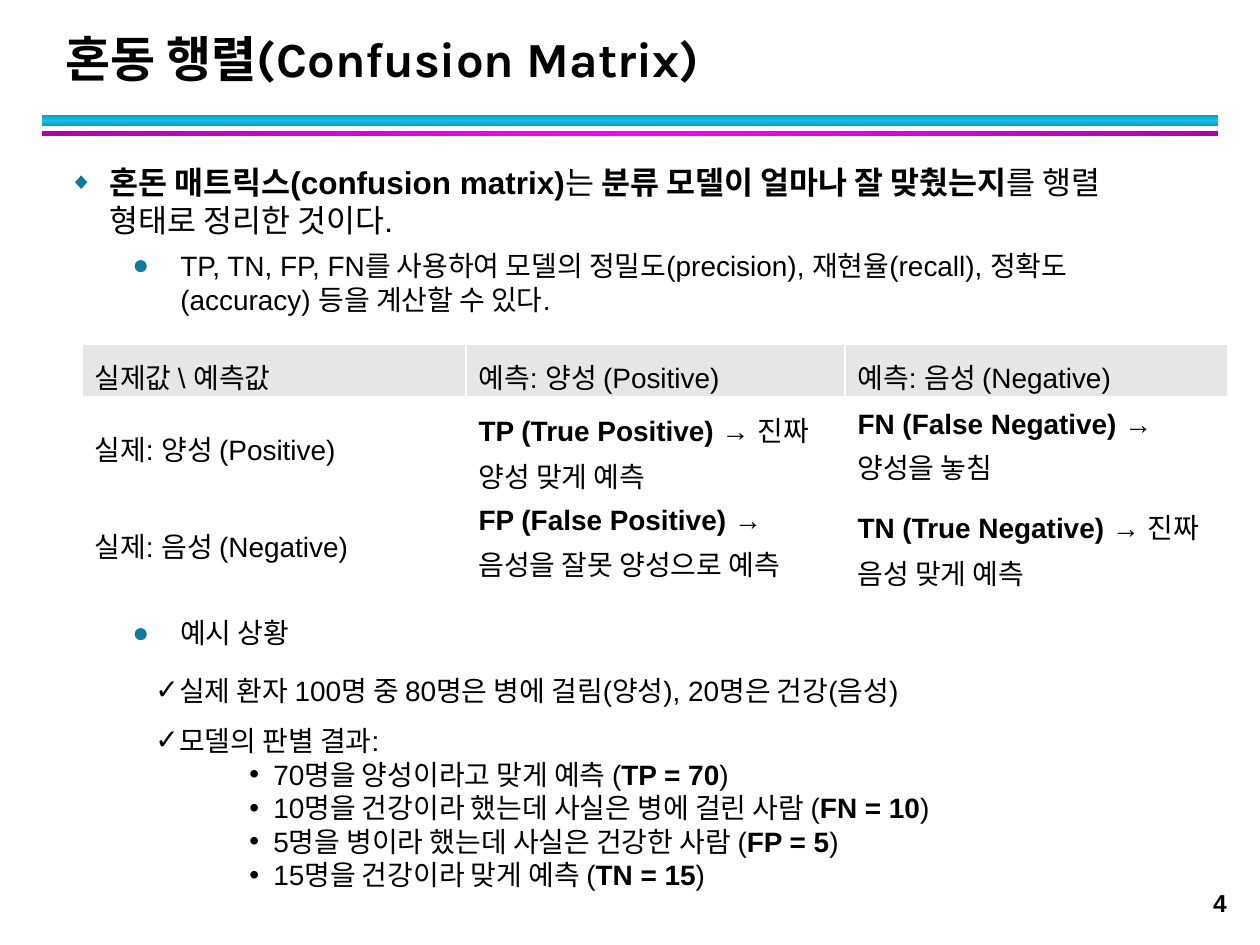
from copy import deepcopy
from dataclasses import dataclass

from lxml.etree import SubElement
from pptx import Presentation
from pptx.dml.color import RGBColor
from pptx.enum.shapes import MSO_SHAPE
from pptx.enum.text import MSO_ANCHOR, PP_ALIGN
from pptx.oxml.ns import qn
from pptx.util import Pt

EMU_PER_PX = 914400 / 126
COLORS = {
    "text": "000000",
    "bullet": "0C7B9C",
    "header": "E6E6E6",
    "cyan": "12C2E9",
    "cyan_dark": "0E9BBA",
    "magenta": "FF00FF",
    "magenta_dark": "B200B2",
}


def px(length):
    return round(length * EMU_PER_PX)


def rgb(name):
    return RGBColor.from_string(COLORS[name])


@dataclass
class Level:
    """Bullet and spacing of one outline level; indents in px, the rest in points."""
    bullet: str
    left: int
    hanging: int
    size: int = 16
    before: float = 0
    after: float = 0
    line: float = 1
    color: str = "text"
    bullet_percent: int = 100


TOPIC = Level("◆", 40, 40, 18, 1.8, 4, color="bullet", bullet_percent=75)
POINT = Level("●", 111, 48, 16, 1.6, 4, color="bullet")
HEADING = Level("●", 111, 48, 16, 1.6, 4, 1.5, color="bullet")
CHECK = Level("✓", 110, 24, line=1.5)
RESULT = Level("•", 204, 24)


class SlideBuilder:
    def __init__(self, slide, font="Arial"):
        self.slide = slide
        self.font = font

    def add_runs(self, paragraph, runs, size, font=None):
        """Add (text, bold) pairs to a paragraph."""
        for text, bold in runs:
            run = paragraph.add_run()
            run.text = text
            run.font.name = font or self.font
            run.font.size = Pt(size)
            run.font.bold = bold
            run.font.color.rgb = rgb("text")

    def title(self, text, left, top, width, height):
        shape = self.slide.shapes.title
        shape.left, shape.top = px(left), px(top)
        shape.width, shape.height = px(width), px(height)
        shape.text_frame.vertical_anchor = MSO_ANCHOR.BOTTOM
        paragraph = shape.text_frame.paragraphs[0]
        paragraph.alignment = PP_ALIGN.LEFT
        paragraph.line_spacing = Pt(36)
        self.add_runs(paragraph, [(text, True)], 28, "Karla")

    def gradient_bar(self, left, top, width, height, edge, middle, angle):
        shape = self.slide.shapes.add_shape(
            MSO_SHAPE.RECTANGLE, px(left), px(top), px(width), px(height))
        shape.shadow.inherit = False
        shape.line.fill.background()
        shape.fill.gradient()
        shape.fill.gradient_angle = angle
        stop_list = shape.element.find(".//" + qn("a:gsLst"))
        stop_list.append(deepcopy(stop_list[0]))
        stops = zip(shape.fill.gradient_stops, (0, 0.5, 1), (edge, middle, edge))
        for stop, position, color in stops:
            stop.position = position
            stop.color.rgb = rgb(color)

    def text_frame(self, left, top, width, height):
        shape = self.slide.shapes.add_textbox(px(left), px(top), px(width), px(height))
        shape.text_frame.word_wrap = True
        return shape.text_frame

    def outline(self, left, top, width, height, items):
        """Add a text box of bulleted (level, runs) items."""
        frame = self.text_frame(left, top, width, height)
        for index, (level, runs) in enumerate(items):
            paragraph = frame.add_paragraph() if index else frame.paragraphs[0]
            paragraph.line_spacing = level.line
            paragraph.space_before = Pt(level.before)
            paragraph.space_after = Pt(level.after)
            self.add_bullet(paragraph, level)
            self.add_runs(paragraph, runs, level.size)

    def add_bullet(self, paragraph, level):
        properties = paragraph._p.get_or_add_pPr()
        properties.set("marL", str(px(level.left)))
        properties.set("indent", str(-px(level.hanging)))
        color = SubElement(properties, qn("a:buClr"))
        SubElement(color, qn("a:srgbClr"), val=COLORS[level.color])
        SubElement(properties, qn("a:buSzPct"), val=str(level.bullet_percent * 1000))
        SubElement(properties, qn("a:buFont"), typeface=self.font)
        SubElement(properties, qn("a:buChar"), char=level.bullet)

    def table(self, left, top, column_widths, row_heights, rows):
        table = self.slide.shapes.add_table(
            len(rows), len(column_widths), px(left), px(top),
            px(sum(column_widths)), px(sum(row_heights))).table
        table.first_row = table.horz_banding = False
        for column, width in zip(table.columns, column_widths):
            column.width = px(width)
        for row_index, (row, height) in enumerate(zip(rows, row_heights)):
            table.rows[row_index].height = px(height)
            for column_index, runs in enumerate(row):
                cell = table.cell(row_index, column_index)
                cell.vertical_anchor = MSO_ANCHOR.MIDDLE
                if row_index == 0:
                    cell.fill.solid()
                    cell.fill.fore_color.rgb = rgb("header")
                else:
                    cell.fill.background()
                paragraph = cell.text_frame.paragraphs[0]
                paragraph.line_spacing = 1.15
                self.add_runs(paragraph, runs, 16)

    def page_number(self, text, left, top, width, height):
        paragraph = self.text_frame(left, top, width, height).paragraphs[0]
        paragraph.alignment = PP_ALIGN.RIGHT
        self.add_runs(paragraph, [(text, True)], 14)


def plain(text):
    return [(text, False)]


def outcome(name, meaning):
    return [(name, True), (f" → {meaning}", False)]


def result(text, count):
    return RESULT, [(f"{text} (", False), (count, True), (")", False)]


def main():
    presentation = Presentation()
    presentation.slide_width, presentation.slide_height = px(1260), px(945)
    builder = SlideBuilder(presentation.slides.add_slide(presentation.slide_layouts[5]))

    builder.gradient_bar(42, 115, 1176, 11, "cyan_dark", "cyan", 90)
    builder.gradient_bar(42, 131, 1176, 5, "magenta_dark", "magenta", 0)
    builder.title("혼동 행렬(Confusion Matrix)", 53, 21, 1142, 73)
    builder.outline(57, 157, 1147, 170, [
        (TOPIC, [("혼돈 매트릭스(confusion matrix)", True), ("는 ", False),
                 ("분류 모델이 얼마나 잘 맞췄는지", True),
                 ("를 행렬 형태로 정리한 것이다.", False)]),
        (POINT, plain("TP, TN, FP, FN를 사용하여 모델의 정밀도(precision), "
                      "재현율(recall), 정확도(accuracy) 등을 계산할 수 있다.")),
    ])
    builder.table(82, 344, [384, 379, 383], [53, 97, 96], [
        [plain("실제값 \\ 예측값"), plain("예측: 양성 (Positive)"),
         plain("예측: 음성 (Negative)")],
        [plain("실제: 양성 (Positive)"),
         outcome("TP (True Positive)", "진짜 양성 맞게 예측"),
         outcome("FN (False Negative)", "양성을 놓침")],
        [plain("실제: 음성 (Negative)"),
         outcome("FP (False Positive)", "음성을 잘못 양성으로 예측"),
         outcome("TN (True Negative)", "진짜 음성 맞게 예측")],
    ])
    builder.outline(57, 593, 1147, 295, [
        (HEADING, plain("예시 상황")),
        (CHECK, plain("실제 환자 100명 중 80명은 병에 걸림(양성), 20명은 건강(음성)")),
        (CHECK, plain("모델의 판별 결과:")),
        result("70명을 양성이라고 맞게 예측", "TP = 70"),
        result("10명을 건강이라 했는데 사실은 병에 걸린 사람", "FN = 10"),
        result("5명을 병이라 했는데 사실은 건강한 사람", "FP = 5"),
        result("15명을 건강이라 맞게 예측", "TN = 15"),
    ])
    builder.page_number("4", 63, 882, 1176, 43)
    presentation.save("out.pptx")


if __name__ == "__main__":
    main()
